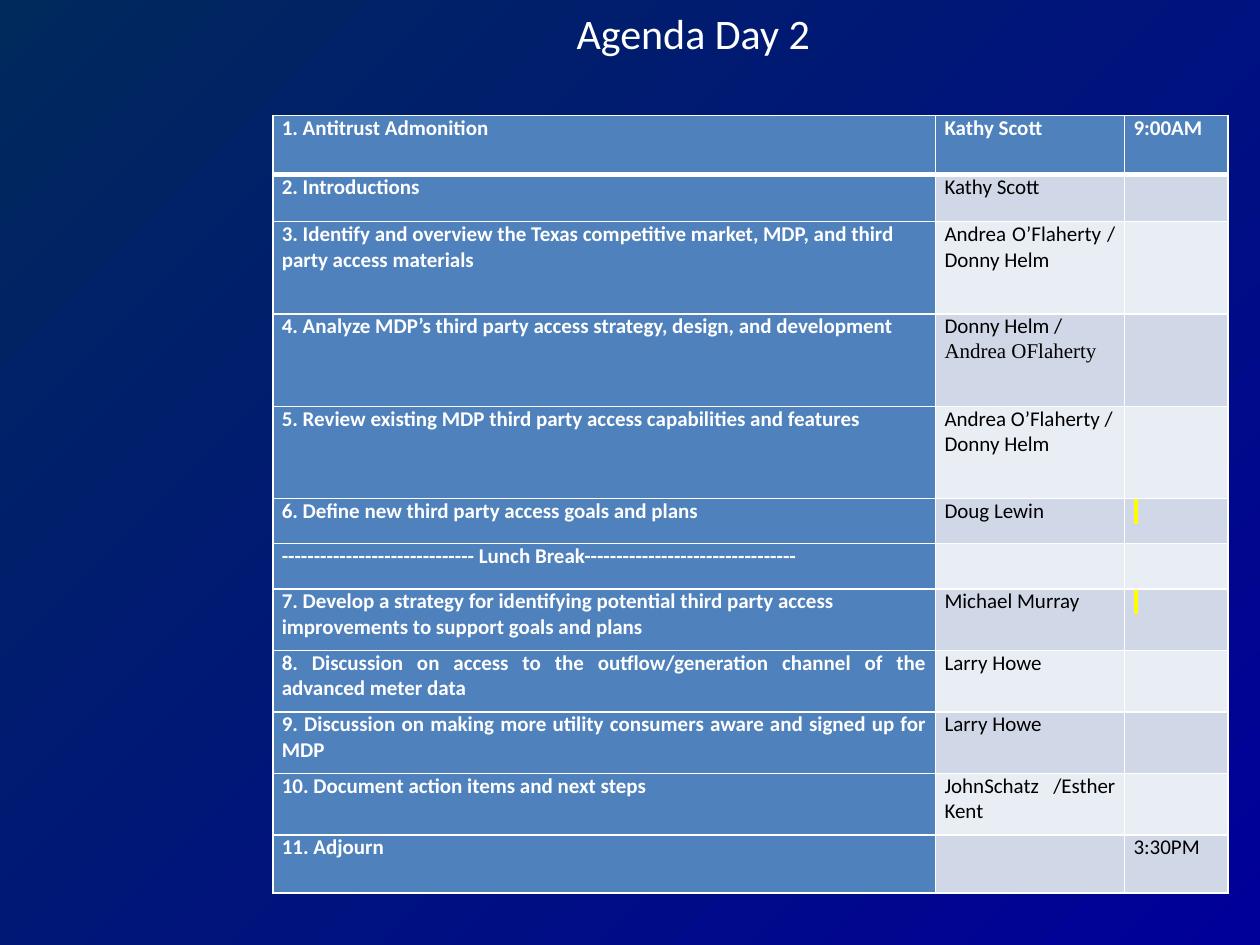
from dataclasses import dataclass

from lxml import etree
from pptx import Presentation
from pptx.dml.color import RGBColor
from pptx.enum import text as t
from pptx.oxml import ns
from pptx.util import Cm, Pt


@dataclass(frozen=True)
class Theme:
    white: str = "FFFFFF"
    black: str = "000000"
    accent: str = "4F81BD"
    bands: tuple = ("E9EDF4", "D0D8E8")
    marker: str = "FFFF00"
    background: tuple = ("000099", "00295C")
    font: str = "Calibri"
    serif: str = "Times New Roman"
    title_size: int = 24
    body_size: int = 12


THEME = Theme()
LEFT, JUSTIFY, CENTER = t.PP_ALIGN.LEFT, t.PP_ALIGN.JUSTIFY, t.PP_ALIGN.CENTER
MARKED_BLANK = " "

COLUMN_WIDTHS = (13.36, 3.81, 2.08)
# height, topic, topic alignment, presenter lines, time
AGENDA = (
    (1.19, "1. Antitrust Admonition", LEFT, ("Kathy Scott",), "9:00AM"),
    (0.95, "2. Introductions", LEFT, ("Kathy Scott",), ""),
    (1.86, "3. Identify and overview the Texas competitive market, MDP, and third party access materials",
     LEFT, ("Andrea O’Flaherty / Donny Helm",), ""),
    (1.86, "4. Analyze MDP’s third party access strategy, design, and development",
     LEFT, ("Donny Helm /", "Andrea OFlaherty"), ""),
    (1.86, "5. Review existing MDP third party access capabilities and features",
     LEFT, ("Andrea O’Flaherty /", "Donny Helm"), ""),
    (0.91, "6. Define new third party access goals and plans", LEFT, ("Doug Lewin",), MARKED_BLANK),
    (0.91, "------------------------------ Lunch Break---------------------------------", JUSTIFY, (), ""),
    (1.24, "7. Develop a strategy for identifying potential third party access improvements "
           "to support goals and plans", LEFT, ("Michael Murray",), MARKED_BLANK),
    (1.24, "8. Discussion on access to the outflow/generation channel of the advanced meter data",
     JUSTIFY, ("Larry Howe",), ""),
    (1.24, "9. Discussion on making more utility consumers aware and signed up for MDP",
     JUSTIFY, ("Larry Howe",), ""),
    (1.24, "10. Document action items and next steps", LEFT, ("JohnSchatz /Esther Kent",), ""),
    (1.17, "11. Adjourn", JUSTIFY, (), "3:30PM"),
)
SERIF_LINES = {"Andrea OFlaherty"}


def rgb(value):
    return RGBColor.from_string(value)


def add_text(paragraph, content, *, size=THEME.body_size, color=THEME.black, bold=False,
             font=THEME.font, align=LEFT, highlight=None):
    paragraph.alignment = align
    run = paragraph.add_run()
    run.text = content
    run.font.size = Pt(size)
    run.font.bold = bold
    run.font.name = font
    run.font.color.rgb = rgb(color)
    if highlight:
        mark = etree.Element(ns.qn("a:highlight"))
        etree.SubElement(mark, ns.qn("a:srgbClr"), val=highlight)
        run.font._element.find(ns.qn("a:solidFill")).addnext(mark)


def paint_background(slide):
    """Radial gradient that spreads from the bottom right corner."""
    fill = slide.background.fill
    fill.gradient()
    for stop, color, position in zip(fill.gradient_stops, THEME.background, (0, 1)):
        stop.color.rgb = rgb(color)
        stop.position = position
    gradient = slide.background._cSld.find(".//" + ns.qn("a:gradFill"))
    gradient.remove(gradient.find(ns.qn("a:lin")))
    circle = etree.SubElement(gradient, ns.qn("a:path"), path="circle")
    etree.SubElement(circle, ns.qn("a:fillToRect"), l="100000", t="100000")


def add_title(slide, left, top, width, height):
    frame = slide.shapes.add_textbox(Cm(left), Cm(top), Cm(width), Cm(height)).text_frame
    frame.word_wrap = True
    add_text(frame.paragraphs[0], "Agenda Day 2 ", size=THEME.title_size,
             color=THEME.white, align=CENTER)


def format_cell(cell, fill, top=1, bottom=1):
    """Set margins, white borders (widths in points) and fill."""
    cell.margin_left = cell.margin_right = Cm(0.18)
    cell.margin_top = cell.margin_bottom = 0
    properties = cell._tc.get_or_add_tcPr()
    for side, width in (("L", 1), ("R", 1), ("T", top), ("B", bottom)):
        line = etree.SubElement(properties, ns.qn(f"a:ln{side}"), w=str(Pt(width)))
        solid = etree.SubElement(line, ns.qn("a:solidFill"))
        etree.SubElement(solid, ns.qn("a:srgbClr"), val=THEME.white)
    cell.fill.solid()
    cell.fill.fore_color.rgb = rgb(fill)


def fill_row(cells, index, topic, topic_align, presenters, time):
    header = index == 0
    band = THEME.accent if header else THEME.bands[index % 2]
    for cell, fill in zip(cells, (THEME.accent, band, band)):
        format_cell(cell, fill, top=3 if index == 1 else 1, bottom=3 if header else 1)

    strong = {"color": THEME.white, "bold": True}
    detail = strong if header else {}
    topic_cell, presenter_cell, time_cell = cells
    add_text(topic_cell.text_frame.paragraphs[0], topic, align=topic_align, **strong)
    frame = presenter_cell.text_frame
    for number, line in enumerate(presenters):
        paragraph = frame.add_paragraph() if number else frame.paragraphs[0]
        add_text(paragraph, line, align=LEFT if index < 2 else JUSTIFY,
                 font=THEME.serif if line in SERIF_LINES else THEME.font, **detail)
    if time:
        add_text(time_cell.text_frame.paragraphs[0], time, align=JUSTIFY,
                 highlight=THEME.marker if time == MARKED_BLANK else None, **detail)


def add_agenda(slide, left, top):
    height = sum(row[0] for row in AGENDA)
    table = slide.shapes.add_table(len(AGENDA), len(COLUMN_WIDTHS), Cm(left), Cm(top),
                                   Cm(sum(COLUMN_WIDTHS)), Cm(height)).table
    for column, width in zip(table.columns, COLUMN_WIDTHS):
        column.width = Cm(width)
    for index, (row, (row_height, *entry)) in enumerate(zip(table.rows, AGENDA)):
        row.height = Cm(row_height)
        fill_row(list(row.cells), index, *entry)


def main():
    presentation = Presentation()
    presentation.slide_width, presentation.slide_height = Cm(25.4), Cm(19.05)
    slide = presentation.slides.add_slide(presentation.slide_layouts[6])
    paint_background(slide)
    add_title(slide, 3.81, 0.03, 20.52, 4.01)
    add_agenda(slide, 5.5, 2.33)
    presentation.save("out.pptx")


if __name__ == "__main__":
    main()
